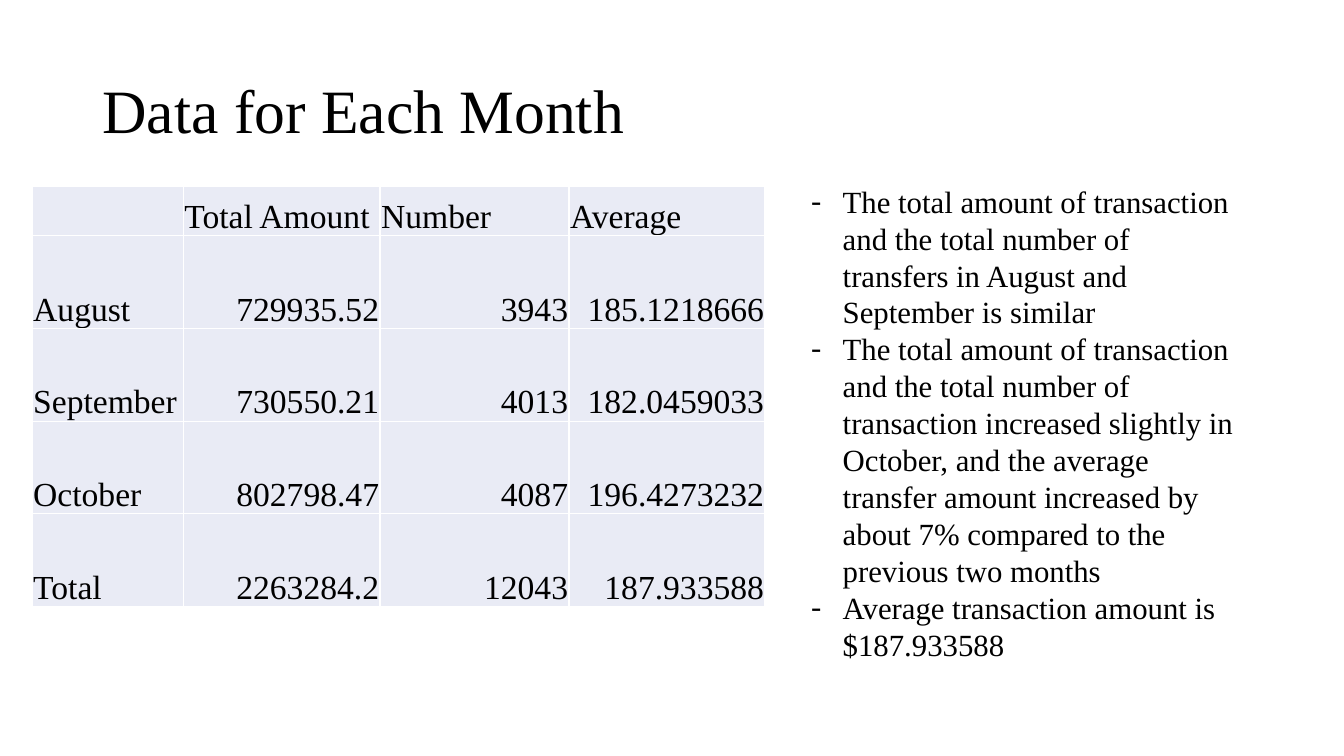
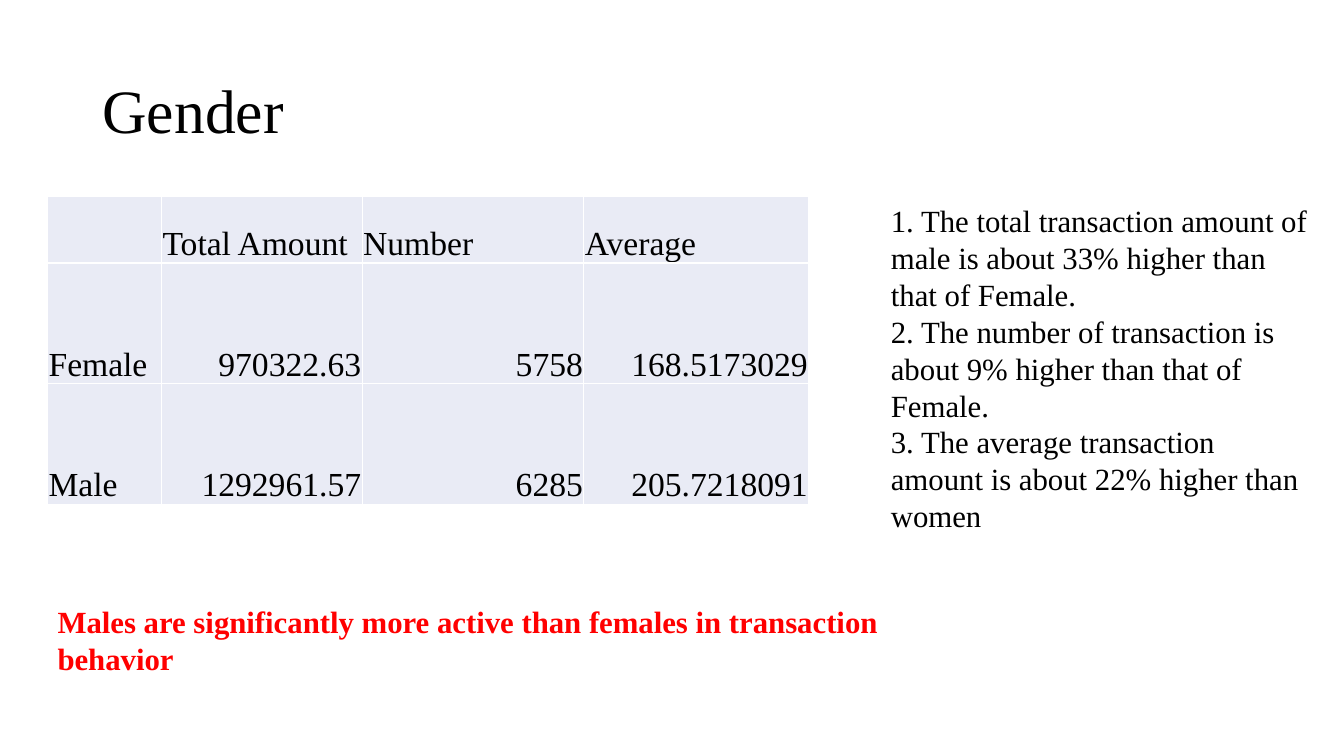
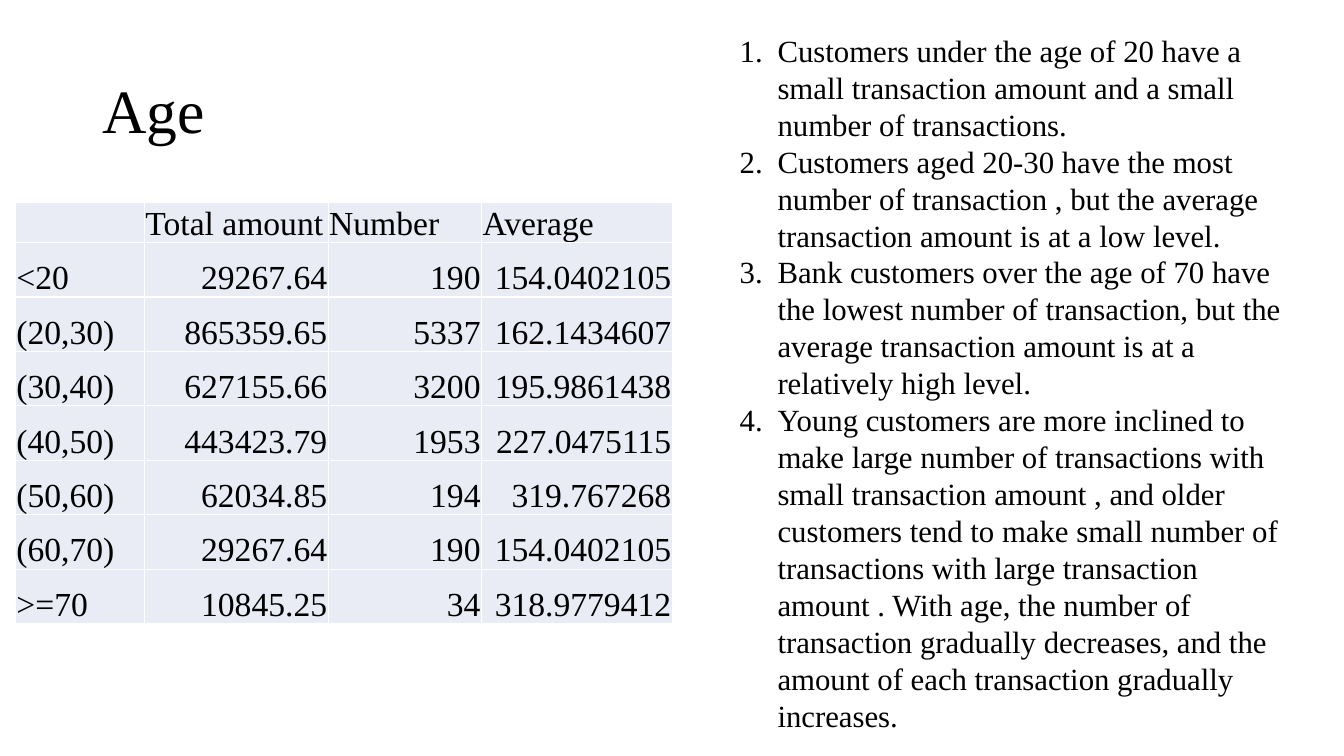
from lxml.etree import SubElement
from pptx import Presentation
from pptx.dml.color import RGBColor
from pptx.enum.text import MSO_ANCHOR, MSO_AUTO_SIZE, PP_ALIGN
from pptx.oxml.ns import qn
from pptx.util import Pt

COLORS = {"text": "000000", "accent": "FF0000", "cell": "E9EBF5", "border": "FFFFFF"}
FONT = "Times New Roman"
BULLETS = {"dash": ("a:buChar", "char", "-"), "number": ("a:buAutoNum", "type", "arabicPeriod")}


def style_font(paragraph, size, color="text", bold=False):
    paragraph.font.name = FONT
    paragraph.font.size = Pt(size)
    paragraph.font.bold = bold
    paragraph.font.color.rgb = RGBColor.from_string(COLORS[color])


def add_text(slide, box, lines, bullet=None, indent=0, color="text", bold=False):
    text_box = slide.shapes.add_textbox(*[Pt(length) for length in box])
    frame = text_box.text_frame
    frame.word_wrap = True
    frame.auto_size = MSO_AUTO_SIZE.SHAPE_TO_FIT_TEXT
    frame.text = "\n".join(lines)
    for paragraph in frame.paragraphs:
        if bullet:
            tag, attribute, value = BULLETS[bullet]
            properties = paragraph._p.get_or_add_pPr()
            properties.set("marL", str(Pt(indent)))
            properties.set("indent", str(-Pt(indent)))
            SubElement(properties, qn("a:buFont"), typeface=FONT)
            SubElement(properties, qn(tag)).set(attribute, value)
        style_font(paragraph, 22, color, bold)


pages = [
    {
        "title": "Data for Each Month",
        "table_at": (23, 133.2),
        "columns": [108, 140.5, 135, 140],
        "header_height": 35.3,
        "row_height": 66.2,
        "rows": [
            ("", "Total Amount", "Number", "Average"),
            ("August", "729935.52", "3943", "185.1218666"),
            ("September", "730550.21", "4013", "182.0459033"),
            ("October", "802798.47", "4087", "196.4273232"),
            ("Total", "2263284.2", "12043", "187.933588"),
        ],
        "texts": [{
            "box": (572.4, 126.7, 321.8, 375.8),
            "bullet": "dash",
            "indent": 22.5,
            "lines": [
                "The total amount of transaction and the total number of transfers in August and September is similar",
                "The total amount of transaction and the total number of transaction increased slightly in October, "
                "and the average transfer amount increased by about 7% compared to the previous two months",
                "Average transaction amount is $187.933588",
            ],
        }],
    },
    {
        "title": "Gender",
        "table_at": (34, 140.4),
        "columns": [81.4, 143.3, 158.4, 160.6],
        "header_height": 47.4,
        "row_height": 86.2,
        "rows": [
            ("", "Total Amount", "Number", "Average"),
            ("Female", "970322.63", "5758", "168.5173029"),
            ("Male", "1292961.57", "6285", "205.7218091"),
        ],
        "texts": [
            {
                "box": (629.3, 140.4, 316, 247),
                "lines": [
                    "1. The total transaction amount of male is about 33% higher than that of Female.",
                    "2. The number of transaction is about 9% higher than that of Female.",
                    "3. The average transaction amount is about 22% higher than women",
                ],
            },
            {
                "box": (34, 427, 656.6, 60.5),
                "color": "accent",
                "bold": True,
                "lines": ["Males are significantly more active than females in transaction behavior"],
            },
        ],
    },
    {
        "title": "Age",
        "table_at": (11, 144.9),
        "columns": [92.2, 131.2, 109.6, 136.2],
        "header_height": 28.3,
        "row_height": 38.9,
        "rows": [
            ("", "Total amount", "Number", "Average"),
            ("<20", "29267.64", "190", "154.0402105"),
            ("(20,30)", "865359.65", "5337", "162.1434607"),
            ("(30,40)", "627155.66", "3200", "195.9861438"),
            ("(40,50)", "443423.79", "1953", "227.0475115"),
            ("(50,60)", "62034.85", "194", "319.767268"),
            ("(60,70)", "29267.64", "190", "154.0402105"),
            (">=70", "10845.25", "34", "318.9779412"),
        ],
        "texts": [{
            "box": (521.3, 19, 421.2, 509),
            "bullet": "number",
            "indent": 27,
            "lines": [
                "Customers under the age of 20 have a small transaction amount and a small number of transactions.",
                "Customers aged 20-30 have the most number of transaction , "
                "but the average transaction amount is at a low level.",
                "Bank customers over the age of 70 have the lowest number of transaction, "
                "but the average transaction amount is at a relatively high level.",
                "Young customers are more inclined to make large number of transactions with small transaction "
                "amount , and older customers tend to make small number of transactions with large transaction "
                "amount . With age, the number of transaction gradually decreases, and the amount of each "
                "transaction gradually increases.",
            ],
        }],
    },
]

presentation = Presentation()
presentation.slide_width = Pt(960)
presentation.slide_height = Pt(540)

for page in pages:
    slide = presentation.slides.add_slide(presentation.slide_layouts[5])

    title = slide.shapes.title
    title.left, title.top, title.width, title.height = Pt(66), Pt(28.8), Pt(828), Pt(104.4)
    title.text_frame.text = page["title"]
    title.text_frame.vertical_anchor = MSO_ANCHOR.MIDDLE
    heading = title.text_frame.paragraphs[0]
    heading.alignment = PP_ALIGN.LEFT
    heading.line_spacing = 0.9
    style_font(heading, 44)

    rows, columns = page["rows"], page["columns"]
    heights = [page["header_height"]] + [page["row_height"]] * (len(rows) - 1)
    left, top = page["table_at"]
    table = slide.shapes.add_table(
        len(rows), len(columns), Pt(left), Pt(top), Pt(sum(columns)), Pt(sum(heights))
    ).table
    table.first_row = False
    table.horz_banding = False
    for column, width in zip(table.columns, columns):
        column.width = Pt(width)
    for row_index, values in enumerate(rows):
        table.rows[row_index].height = Pt(heights[row_index])
        for column_index, value in enumerate(values):
            cell = table.cell(row_index, column_index)
            cell.text = value
            cell.vertical_anchor = MSO_ANCHOR.BOTTOM
            cell.margin_left = cell.margin_right = cell.margin_top = Pt(0.75)
            cell.margin_bottom = 0
            paragraph = cell.text_frame.paragraphs[0]
            if row_index and column_index:
                paragraph.alignment = PP_ALIGN.RIGHT
            style_font(paragraph, 24)
            for side in ("a:lnL", "a:lnR", "a:lnT", "a:lnB"):
                border = SubElement(cell._tc.get_or_add_tcPr(), qn(side), w=str(Pt(1)))
                SubElement(SubElement(border, qn("a:solidFill")), qn("a:srgbClr"), val=COLORS["border"])
            cell.fill.solid()
            cell.fill.fore_color.rgb = RGBColor.from_string(COLORS["cell"])

    for text in page["texts"]:
        add_text(slide, **text)

presentation.save("out.pptx")
